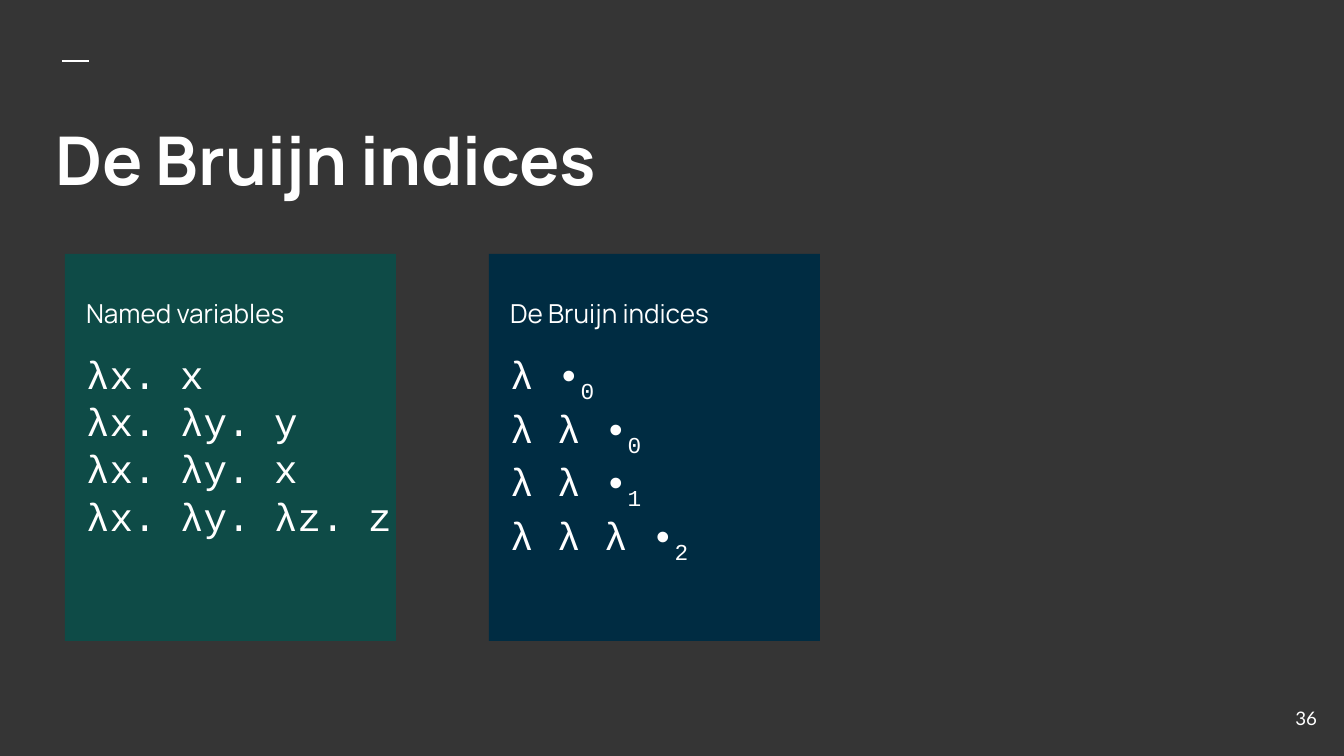
import pptx
import pptx.util
import pptx.dml.color
import pptx.enum.shapes
import pptx.enum.text
import lxml.etree

PX = 914400 / 134.4
WHITE = "FFFFFF"
INSET = 13

# Content: each code line is a list of (text, is_subscript) runs
TITLE = "De Bruijn indices"
CARDS = [
    ("Named variables", "0E4B47", [
        [("λx. x", False)],
        [("λx. λy. y", False)],
        [("λx. λy. x", False)],
        [("λx. λy. λz. z", False)],
    ]),
    ("De Bruijn indices", "002C42", [
        [("λ •", False), ("0", True)],
        [("λ λ •", False), ("0", True)],
        [("λ λ •", False), ("1", True)],
        [("λ λ λ •", False), ("2", True)],
    ]),
]
PAGE = "36"

# Card layout in px
CARD_X, CARD_Y, CARD_W, CARD_H, CARD_STEP = 65, 254, 331, 387, 424
TEXT_DX, TEXT_Y, TEXT_W, TEXT_H = 8, 284, 364, 294


def px(n):
    return pptx.util.Emu(round(n * PX))


def rgb(color):
    return pptx.dml.color.RGBColor.from_string(color)


def add_box(x, y, w, h):
    tf = slide.shapes.add_textbox(px(x), px(y), px(w), px(h)).text_frame
    tf.word_wrap = True
    tf.margin_left = tf.margin_right = tf.margin_top = tf.margin_bottom = px(INSET)
    return tf


def add_run(p, text, size, font, bold=False, subscript=False):
    r = p.add_run()
    r.text = text
    r.font.size = pptx.util.Pt(size)
    r.font.name = font
    r.font.bold = bold
    r.font.color.rgb = rgb(WHITE)
    if subscript:
        r._r.get_or_add_rPr().set("baseline", "-25000")


def add_card(x, heading, color, lines):
    # The callout lies on its side, so its width and height swap
    left = x + (CARD_W - CARD_H) / 2
    top = CARD_Y + (CARD_H - CARD_W) / 2
    sp = slide.shapes.add_shape(pptx.enum.shapes.MSO_SHAPE.RECTANGULAR_CALLOUT,
                                px(left), px(top), px(CARD_H), px(CARD_W))
    sp.adjustments[0] = -0.27
    sp.adjustments[1] = 0.5
    sp.rotation = 270
    sp.shadow.inherit = False
    sp.fill.solid()
    sp.fill.fore_color.rgb = rgb(color)
    sp.line.fill.background()

    tf = add_box(x + TEXT_DX, TEXT_Y, TEXT_W, TEXT_H)
    add_run(tf.paragraphs[0], heading, 14, "Manrope")
    p = tf.add_paragraph()
    p.space_before = p.space_after = pptx.util.Pt(12)
    for i, line in enumerate(lines):
        if i:
            p.add_line_break()
        for text, subscript in line:
            add_run(p, text, 21, "Courier New", subscript=subscript)


prs = pptx.Presentation()
prs.slide_width, prs.slide_height = px(1344), px(756)
slide = prs.slides.add_slide(prs.slide_layouts[6])
slide.background.fill.solid()
slide.background.fill.fore_color.rgb = rgb("353535")

# Accent dash
dash = slide.shapes.add_connector(pptx.enum.shapes.MSO_CONNECTOR.STRAIGHT,
                                  px(62), px(61), px(89), px(61))
dash.line.color.rgb = rgb(WHITE)
dash.line.width = pptx.util.Pt(1.5)
lxml.etree.SubElement(dash._element.spPr, pptx.oxml.ns.qn("a:effectLst"))

# Title
tf = add_box(42, 105, 918, 563)
add_run(tf.paragraphs[0], TITLE, 36, "Manrope", bold=True)

# Cards
for i, (heading, color, lines) in enumerate(CARDS):
    add_card(CARD_X + i * CARD_STEP, heading, color, lines)

# Page number
tf = add_box(1249, 689, 81, 58)
tf.vertical_anchor = pptx.enum.text.MSO_ANCHOR.MIDDLE
tf.paragraphs[0].alignment = pptx.enum.text.PP_ALIGN.RIGHT
add_run(tf.paragraphs[0], PAGE, 10, "Lato")

prs.save("out.pptx")
